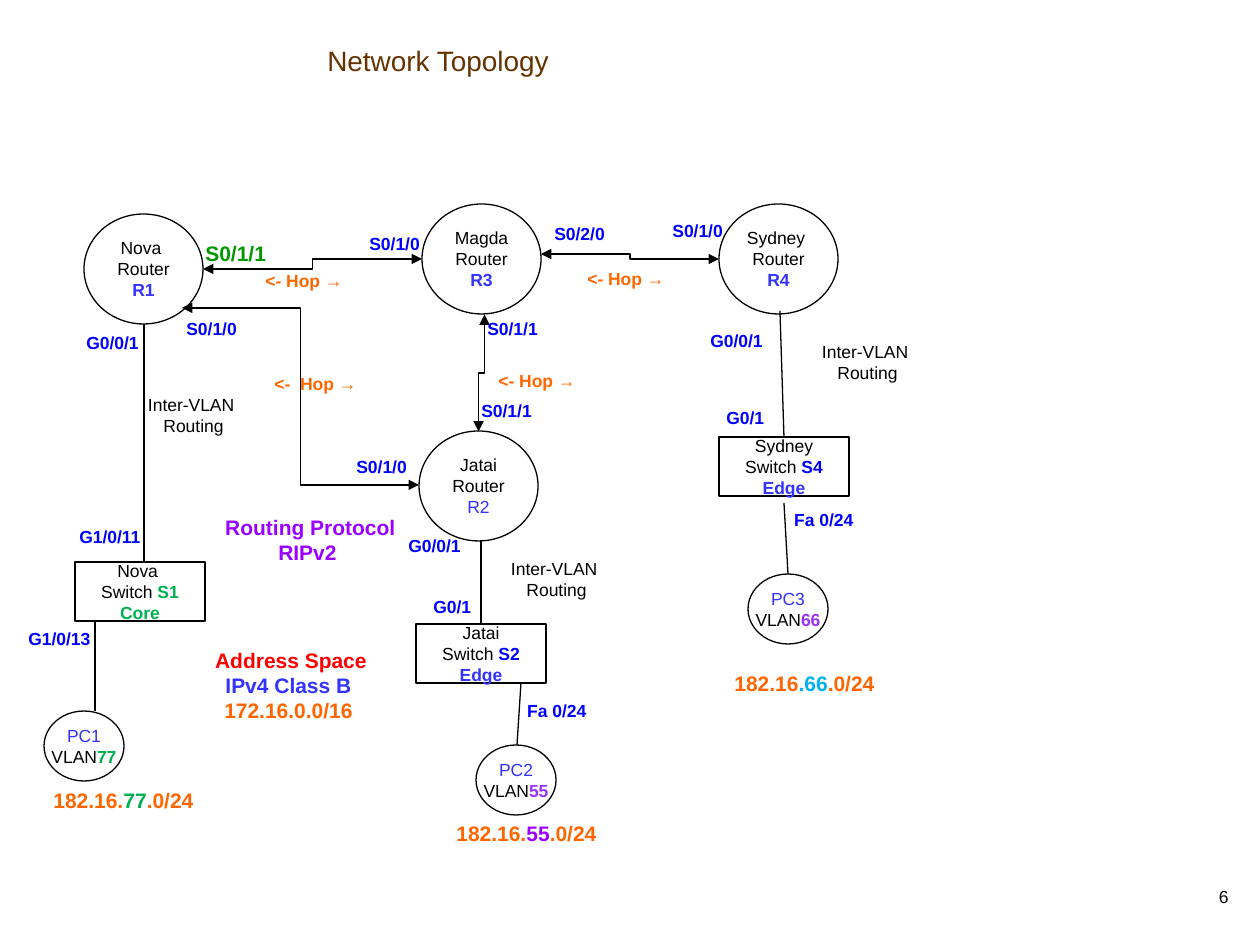
from lxml import etree
from pptx import Presentation
from pptx.dml.color import RGBColor
from pptx.enum.shapes import MSO_CONNECTOR as LINK, MSO_SHAPE as SHAPE
from pptx.enum.text import MSO_ANCHOR as ANCHOR, PP_ALIGN as ALIGN
from pptx.oxml.ns import qn
from pptx.util import Pt

EMU_PER_PX = 914400 / 126
COLORS = {
    "black": "000000", "white": "FFFFFF", "brown": "663300", "red": "FF0000",
    "blue": "0000FF", "indigo": "3333FF", "orange": "FF6600", "green": "00B050",
    "dark green": "009900", "violet": "9933FF", "purple": "9900FF", "sky": "00B0F0",
}


def px(*lengths):
    return [round(length * EMU_PER_PX) for length in lengths]


def write(box, lines, size=10, color="black", bold=False, align=ALIGN.LEFT,
          wrap=True, anchor=ANCHOR.TOP):
    """Fill a shape; each line is a string or a list of (text, color, bold) spans."""
    frame = box.text_frame
    frame.word_wrap = wrap
    frame.vertical_anchor = anchor
    for index, line in enumerate(lines):
        para = frame.add_paragraph() if index else frame.paragraphs[0]
        para.alignment = align
        spans = [(line, color, bold)] if isinstance(line, str) else line
        for text, span_color, span_bold in spans:
            span = para.add_run()
            span.text = text
            span.font.name = "Arial"
            span.font.size = Pt(size)
            span.font.bold = span_bold
            span.font.color.rgb = RGBColor.from_string(COLORS[span_color])


deck = Presentation()
deck.slide_width, deck.slide_height = px(1260, 945)
page = deck.slides.add_slide(deck.slide_layouts[6])
shapes = page.shapes

# Routers, switches and PCs
ROUTER = (SHAPE.OVAL, 119, 110)
SWITCH = (SHAPE.RECTANGLE, 130, 59)
PC = (SHAPE.OVAL, 80, 70)
nodes = [
    ("R1", ROUTER, 84, 214, ["Nova ", "Router", [("R1", "indigo", True)]]),
    ("R3", ROUTER, 422, 204, ["Magda", "Router", [("R3", "indigo", True)]]),
    ("R4", ROUTER, 719, 204, ["Sydney ", "Router", [("R4", "indigo", True)]]),
    ("R2", ROUTER, 419, 431, ["Jatai", "Router", [("R2", "indigo", False)]]),
    ("PC1", PC, 44, 711, [[("PC1", "indigo", False)],
                          [("VLAN", "black", False), ("77", "green", True)]]),
    ("PC2", PC, 476, 745, [[("PC2", "indigo", False)],
                           [("VLAN", "black", False), ("55", "violet", True)]]),
    ("PC3", PC, 748, 574, [[("PC3", "indigo", False)],
                           [("VLAN", "black", False), ("66", "violet", True)]]),
]
for name, left, top, city, role, name_color, role_color in [
    ("S1", 75, 562, "Nova ", "Core", "green", "green"),
    ("S2", 416, 624, "Jatai", "Edge", "blue", "indigo"),
    ("S4", 719, 437, "Sydney", "Edge", "blue", "indigo"),
]:
    nodes.append((name, SWITCH, left, top, [
        city,
        [("Switch ", "black", False), (name, name_color, True)],
        [(role, role_color, True)],
    ]))

devices = {}
for name, (outline, width, height), left, top, lines in nodes:
    device = shapes.add_shape(outline, *px(left, top, width, height))
    device.shadow.inherit = False
    device.fill.solid()
    device.fill.fore_color.rgb = RGBColor.from_string(COLORS["white"])
    device.line.color.rgb = RGBColor.from_string(COLORS["black"])
    device.line.width = Pt(0.75)
    write(device, lines, align=ALIGN.CENTER, wrap=False, anchor=ANCHOR.MIDDLE)
    devices[name] = device

# Links: bent ones between routers carry arrowheads, "turned" runs vertically;
# a straight one may start at the top middle of a switch
links = [
    ("bent", 203, 269, 422, 259, None),
    ("bent", 541, 254, 719, 259, None),
    ("bent", 419, 485, 182, 308, None),
    ("turned", 540, 376, 423, 370, None),
    ("straight", 144, 562, 144, 324, None),
    ("straight", 95, 711, 95, 622, None),
    ("straight", 517, 745, 521, 683, None),
    ("straight", 481, 624, 481, 540, "S2"),
    ("straight", 784, 437, 780, 311, "S4"),
    ("straight", 788, 574, 784, 503, None),
]
for style, x1, y1, x2, y2, switch in links:
    kind = LINK.STRAIGHT if style == "straight" else LINK.ELBOW
    link = shapes.add_connector(kind, *px(x1, y1, x2, y2))
    if switch:
        link.begin_connect(devices[switch], 0)
    link.line.color.rgb = RGBColor.from_string(COLORS["black"])
    link.line.width = Pt(0.75)
    properties = link._element.spPr
    if kind == LINK.ELBOW:
        outline = properties.find(qn("a:ln"))
        for end in ("a:headEnd", "a:tailEnd"):
            etree.SubElement(outline, qn(end), type="triangle")
    if style == "turned":
        properties.find(qn("a:xfrm")).set("rot", "5400000")
    etree.SubElement(properties, qn("a:effectLst"))

# Port names
for text, left, top, width in [
    ("G0/0/1", 74, 326, 89), ("G1/0/11", 67, 520, 89), ("G1/0/13", 16, 622, 89),
    ("G0/0/1", 396, 529, 89), ("G0/1", 421, 590, 89), (" Fa 0/24", 510, 694, 89),
    ("G0/0/1", 698, 324, 89), ("G0/1", 714, 401, 89), (" Fa 0/24", 777, 503, 89),
    ("S0/1/0", 357, 227, 87), ("S0/1/0", 174, 312, 87), ("S0/1/0", 344, 450, 87),
    ("S0/2/0", 542, 217, 98), ("S0/1/0", 660, 214, 79),
    ("S0/1/1", 469, 394, 100), ("S0/1/1", 475, 312, 100),
]:
    write(shapes.add_textbox(*px(left, top, width, 34)), [text], color="blue", bold=True)
write(shapes.add_textbox(*px(193, 234, 100, 38)), ["S0/1/1"],
      size=12, color="dark green", bold=True)

# Hops
for text, left, top in [("<- Hop →", 253, 264), ("<- Hop →", 575, 262),
                        ("<- Hop →", 486, 364), ("<-  Hop →", 262, 367)]:
    write(shapes.add_textbox(*px(left, top, 111, 34)), [text], color="orange", bold=True)

# Inter-VLAN notes
for left, top in [(135, 388), (498, 552), (809, 335)]:
    write(shapes.add_textbox(*px(left, top, 117, 55)), ["Inter-VLAN ", "Routing"],
          align=ALIGN.CENTER, wrap=False)

# Subnets
for left, top, spans in [
    (15, 781, [("182.16.", "orange"), ("77", "green"), (".0/24", "orange")]),
    (418, 814, [("182.16.", "orange"), ("55", "purple"), (".0/24", "orange")]),
    (696, 664, [("182.16", "orange"), (".66", "sky"), (".0/24", "orange")]),
]:
    write(shapes.add_textbox(*px(left, top, 217, 38)),
          [[(text, color, True) for text, color in spans]], size=12, align=ALIGN.CENTER)

# Routing protocol and address space
write(shapes.add_textbox(*px(199, 508, 217, 63)), [" Routing Protocol", "RIPv2"],
      size=12, color="purple", bold=True, align=ALIGN.CENTER)
write(shapes.add_textbox(*px(180, 641, 217, 89)),
      [[(" Address Space", "red", True)],
       [("IPv4 Class B ", "indigo", True), ("172.16.0.0/16", "orange", True)]],
      size=12, align=ALIGN.CENTER)

# Title and page number
write(shapes.add_textbox(*px(315, 37, 249, 47)), ["Network Topology"], size=16, color="brown")
write(shapes.add_textbox(*px(1196, 880, 45, 39)), ["6"], align=ALIGN.RIGHT)

deck.save("out.pptx")
